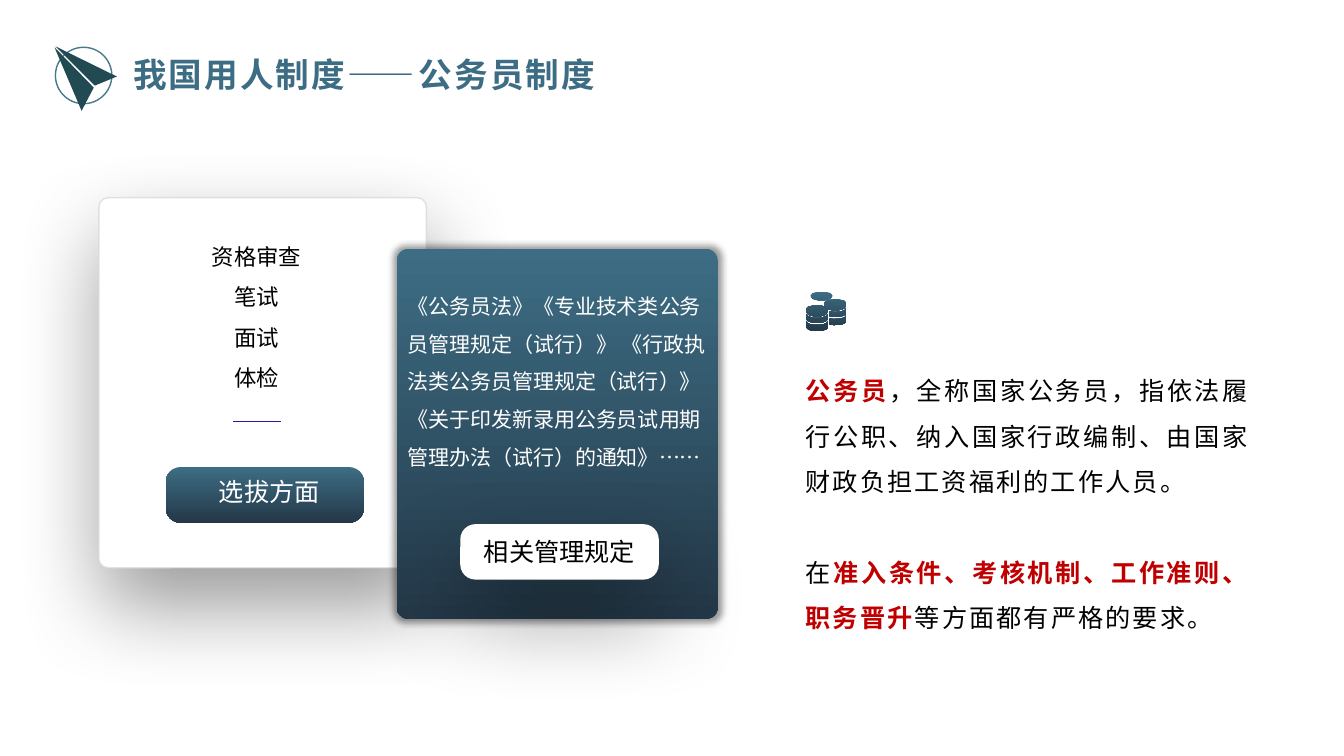
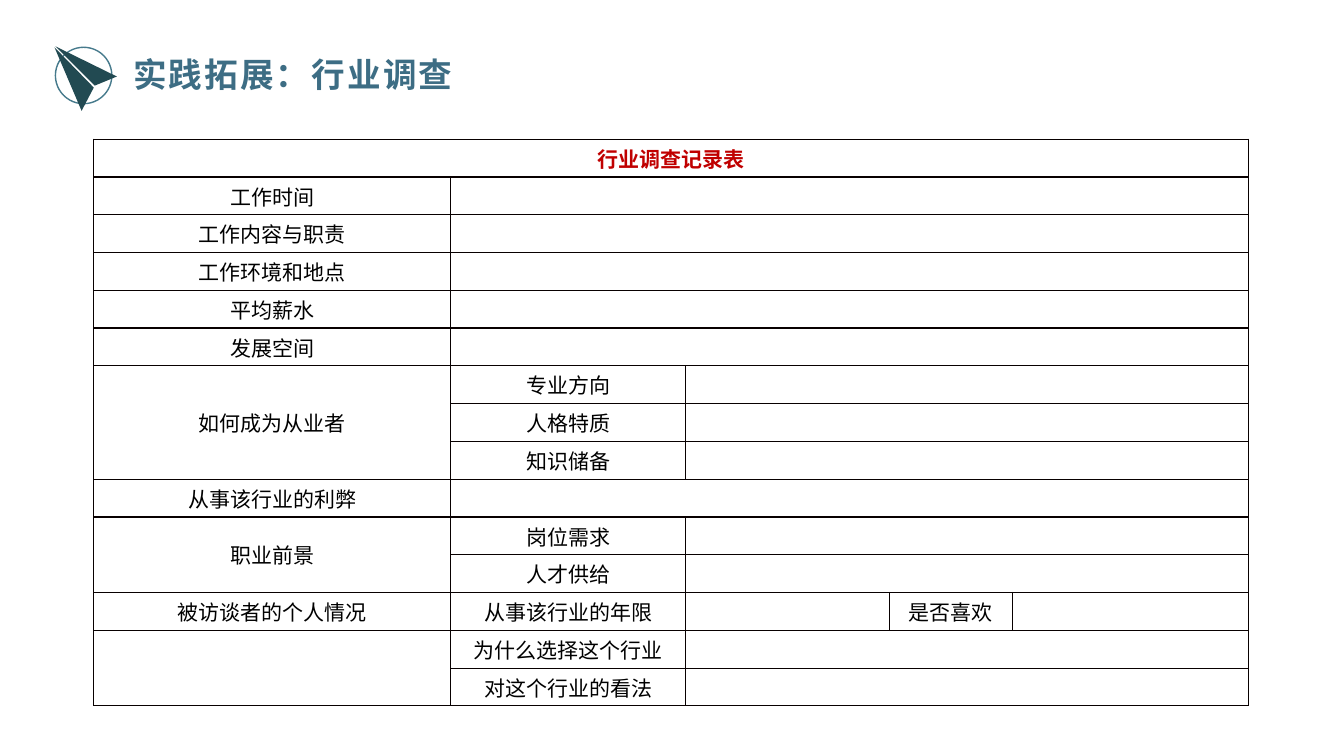
"""Build two slides on the civil service system and an industry survey."""
import math
from dataclasses import dataclass
from typing import NamedTuple

import lxml.etree
import pptx
import pptx.dml.color
import pptx.enum.shapes
import pptx.enum.text
import pptx.oxml.ns
import pptx.util

Pt = pptx.util.Pt
qn = pptx.oxml.ns.qn
Align = pptx.enum.text.PP_ALIGN
Anchor = pptx.enum.text.MSO_ANCHOR
Preset = pptx.enum.shapes.MSO_SHAPE

FONT = "Noto Sans CJK SC"
TEAL, NAVY, PINE, RING = "3D6D84", "243848", "224A52", "467A8C"
RED, BLACK, WHITE = "C00000", "000000", "FFFFFF"
GRID, CARD_EDGE, DIVIDER = "080000", "D9D9D9", "2D1A91"
LEADING = 1.8


class Box(NamedTuple):
    left: float
    top: float
    width: float
    height: float


class Shadow(NamedTuple):
    blur: float
    distance: float
    angle: float
    scale: int = 100


class Coin(NamedTuple):
    centre: float
    left: float
    right: float
    rim_top: float
    rim_bottom: float
    bulge_top: float = 2.5
    bulge_bottom: float = 2.5


class Phrase(NamedTuple):
    text: str
    stressed: bool = False


@dataclass(frozen=True)
class Panel:
    box: Box
    radius: float
    gradient: bool
    shadow: Shadow | None = None
    outlined: bool = False
    label: str = ""
    left_inset: float = 0


@dataclass(frozen=True)
class Topic:
    name: str
    questions: tuple[str, ...] = ()
    follow_up: str = ""


SOFT = Shadow(64, 27, 85)
PANELS = [
    Panel(Box(70.6, 141.2, 234, 264.4), 0.028, False, SOFT, outlined=True),
    Panel(Box(118.3, 333.6, 141.8, 39.8), 0.274, True, label="选拔方面", left_inset=6.5),
    Panel(Box(283.3, 177.8, 229.5, 264.2), 0.037, True, Shadow(5, 0, 0, 102)),
    Panel(Box(328.8, 374.4, 141.8, 39.6), 0.274, False, SOFT, label="相关管理规定"),
]
COINS = [
    Coin(583.6, 576, 591.2, 220.3, 223.2, -2.2, 2.9),
    Coin(583.6, 576, 591.2, 224.6, 228.2),
    Coin(583.6, 576, 591.2, 229.7, 234),
    Coin(596.6, 589, 604.2, 216, 218.9, -2.2, 2.9),
    Coin(596.6, 592.6, 604.2, 220.3, 223.9),
    Coin(596.6, 592.6, 604.2, 225.4, 229.7),
    Coin(586.8, 579.2, 594.4, 211, 211.8, -2.9, 2.9),
]
PLANE = [
    [(83.5, 54.7), (67.7, 61.2), (39.6, 33.1)],
    [(67, 62.6), (58.3, 79.2), (38.9, 33.8)],
]
SELECTION_STEPS = ["资格审查", "笔试", "面试", "体检"]
REGULATIONS = ["《公务员法》《专业技术类公务员管理规定（试行）》 《行政执法类公务员管理规定（试行）》"
               "《关于印发新录用公务员试用期管理办法（试行）的通知》……"]
DEFINITION = [
    [Phrase("公务员", True),
     Phrase("，全称国家公务员，指依法履行公职、纳入国家行政编制、由国家财政负担工资福利的工作人员。")],
    [Phrase("在"), Phrase("准入条件、考核机制、工作准则、职务晋升", True),
     Phrase("等方面都有严格的要求。")],
]
SURVEY = [
    Topic("工作时间"),
    Topic("工作内容与职责"),
    Topic("工作环境和地点"),
    Topic("平均薪水"),
    Topic("发展空间"),
    Topic("如何成为从业者", ("专业方向", "人格特质", "知识储备")),
    Topic("从事该行业的利弊"),
    Topic("职业前景", ("岗位需求", "人才供给")),
    Topic("被访谈者的个人情况", ("从事该行业的年限",), "是否喜欢"),
    Topic("", ("为什么选择这个行业", "对这个行业的看法")),
]
COLUMN_WIDTHS = [255, 167.8, 145.4, 87.8, 168.8]
ROW_HEIGHT = 27


def rgb(code: str):
    """Turn a hex string into a colour."""
    return pptx.dml.color.RGBColor.from_string(code)


def points(box: Box) -> list:
    """Return the four lengths of a box in points."""
    return [Pt(length) for length in box]


def place(holder, box: Box) -> None:
    """Move a placeholder and stop it from shrinking its text."""
    holder.left, holder.top, holder.width, holder.height = points(box)
    holder.text_frame.word_wrap = True
    holder.text_frame.auto_size = pptx.enum.text.MSO_AUTO_SIZE.NONE


def style(paragraph, size: float, color: str, align=Align.CENTER,
          bold: bool = False, tracking: float = 0) -> None:
    """Format a whole paragraph."""
    paragraph.alignment = align
    font = paragraph.font
    font.size, font.bold, font.name = Pt(size), bold, FONT
    font.color.rgb = rgb(color)
    properties = paragraph._p.pPr.find(qn("a:defRPr"))
    lxml.etree.SubElement(properties, qn("a:ea"), typeface=FONT)
    if tracking:
        properties.set("spc", str(round(tracking * 100)))


def paint_gradient(shape) -> None:
    """Fill a shape from teal down to navy."""
    shape.fill.gradient()
    shape.fill.gradient_angle = 270
    for stop, color in zip(shape.fill.gradient_stops, (TEAL, NAVY)):
        stop.color.rgb = rgb(color)


def cast_shadow(shape, shadow: Shadow) -> None:
    """Give a shape a soft black shadow."""
    effects = shape._element.spPr.find(qn("a:effectLst"))
    scale = str(shadow.scale * 1000)
    outer = lxml.etree.SubElement(
        effects, qn("a:outerShdw"), blurRad=str(Pt(shadow.blur)), dist=str(Pt(shadow.distance)),
        dir=str(shadow.angle * 60000), sx=scale, sy=scale, algn="ctr", rotWithShape="0")
    color = lxml.etree.SubElement(outer, qn("a:srgbClr"), val=BLACK)
    lxml.etree.SubElement(color, qn("a:alpha"), val="40000")


def draw_outline(slide, contours: list):
    """Draw closed contours as one freeform without a line."""
    builder = None
    for contour in contours:
        (x, y), *rest = [(Pt(x), Pt(y)) for x, y in contour]
        if builder is None:
            builder = slide.shapes.build_freeform(x, y)
        else:
            builder.move_to(x, y)
        builder.add_line_segments(rest, close=True)
    shape = builder.convert_to_shape()
    shape.shadow.inherit = False
    shape.line.fill.background()
    return shape


def draw_heading(slide, title: str) -> None:
    """Set the title and draw the paper plane emblem."""
    heading = slide.shapes.title
    place(heading, Box(88, 34.6, 480, 36))
    heading.text_frame.vertical_anchor = Anchor.MIDDLE
    heading.text_frame.text = title
    style(heading.text_frame.paragraphs[0], 24, TEAL, Align.LEFT, True, 1.5)
    ring = slide.shapes.add_shape(Preset.OVAL, *points(Box(39.6, 33.8, 40.3, 40.3)))
    ring.shadow.inherit = False
    ring.fill.background()
    ring.line.color.rgb, ring.line.width = rgb(RING), Pt(1)
    plane = draw_outline(slide, PLANE)
    plane.fill.solid()
    plane.fill.fore_color.rgb = rgb(PINE)


def draw_panel(slide, panel: Panel) -> None:
    """Draw a rounded card or button with its label."""
    shape = slide.shapes.add_shape(Preset.ROUNDED_RECTANGLE, *points(panel.box))
    shape.adjustments[0] = panel.radius
    shape.shadow.inherit = False
    if panel.gradient:
        paint_gradient(shape)
    else:
        shape.fill.solid()
        shape.fill.fore_color.rgb = rgb(WHITE)
    if panel.outlined:
        shape.line.color.rgb, shape.line.width = rgb(CARD_EDGE), Pt(1)
        edge = shape._element.spPr.find(qn("a:ln")).find(".//" + qn("a:srgbClr"))
        lxml.etree.SubElement(edge, qn("a:alpha"), val="74000")
    else:
        shape.line.fill.background()
    if panel.shadow:
        cast_shadow(shape, panel.shadow)
    if panel.label:
        frame = shape.text_frame
        frame.margin_left, frame.margin_right = Pt(panel.left_inset), 0
        frame.margin_top, frame.margin_bottom = 0, Pt(panel.left_inset * 0.75)
        frame.text = panel.label
        style(frame.paragraphs[0], 18, WHITE if panel.gradient else BLACK)


def draw_text(slide, box: Box, lines: list[str], size: float, color: str, align) -> None:
    """Write evenly spaced lines in a text box."""
    frame = slide.shapes.add_textbox(*points(box)).text_frame
    frame.word_wrap = True
    frame.text = "\n".join(lines)
    for paragraph in frame.paragraphs:
        paragraph.line_spacing = Pt(size * LEADING)
        style(paragraph, size, color, align)


def coin_contour(coin: Coin) -> list[tuple[float, float]]:
    """Trace the curved top and bottom edges of a coin."""
    radius, steps = 7.6, 5
    start, end = (math.acos(max(-1, min(1, (x - coin.centre) / radius)))
                  for x in (coin.left, coin.right))
    angles = [start + (end - start) * i / steps for i in range(steps + 1)]

    def edge(rim: float, bulge: float) -> list[tuple[float, float]]:
        """Follow one elliptical edge from left to right."""
        return [(coin.centre + radius * math.cos(angle), rim + bulge * math.sin(angle))
                for angle in angles]

    return edge(coin.rim_top, coin.bulge_top) + edge(coin.rim_bottom, coin.bulge_bottom)[::-1]


def write_definition(body) -> None:
    """Fill the body placeholder with the two stressed paragraphs."""
    place(body, Box(568.2, 253.8, 332, 203.8))
    frame = body.text_frame
    for index, phrases in enumerate(DEFINITION):
        paragraph = frame.add_paragraph() if index else frame.paragraphs[0]
        properties = paragraph._p.get_or_add_pPr()
        properties.set("marL", "0")
        properties.set("indent", "0")
        lxml.etree.SubElement(properties, qn("a:buNone"))
        paragraph.line_spacing = Pt(18 * LEADING)
        paragraph.space_before = Pt(18 * LEADING if index else 0)
        style(paragraph, 18, BLACK, Align.JUSTIFY, tracking=1.5)
        for phrase in phrases:
            run = paragraph.add_run()
            run.text = phrase.text
            if phrase.stressed:
                run.font.bold = True
                run.font.color.rgb = rgb(RED)


def write_cell(cell, text: str = "", color: str = BLACK, bold: bool = False) -> None:
    """Write a centred cell and rule all its sides."""
    cell.text = text
    style(cell.text_frame.paragraphs[0], 15, color, bold=bold)
    cell.fill.background()
    cell.vertical_anchor = Anchor.MIDDLE
    cell.margin_left = cell.margin_right = Pt(5)
    cell.margin_top = cell.margin_bottom = 0
    properties = cell._tc.get_or_add_tcPr()
    for index, side in enumerate(("lnL", "lnR", "lnT", "lnB")):
        border = lxml.etree.Element(qn(f"a:{side}"), w=str(Pt(1)))
        fill = lxml.etree.SubElement(border, qn("a:solidFill"))
        lxml.etree.SubElement(fill, qn("a:srgbClr"), val=GRID)
        properties.insert(index, border)


def draw_survey(slide) -> None:
    """Draw the survey form, one block of rows for each topic."""
    rows = []
    for topic in SURVEY:
        for index, question in enumerate(topic.questions or ("",)):
            rows.append(("" if index else topic.name, question, "", topic.follow_up, ""))
    row_count, last = len(rows) + 1, len(COLUMN_WIDTHS) - 1
    box = Box(67, 99.4, sum(COLUMN_WIDTHS), row_count * ROW_HEIGHT)
    form = slide.shapes.add_table(row_count, len(COLUMN_WIDTHS), *points(box)).table
    form.first_row = form.horz_banding = False
    for column, width in zip(form.columns, COLUMN_WIDTHS):
        column.width = Pt(width)
    for column in range(last + 1):
        write_cell(form.cell(0, column), "" if column else "行业调查记录表", RED, True)
        for row, texts in enumerate(rows, 1):
            write_cell(form.cell(row, column), texts[column])
    form.cell(0, 0).merge(form.cell(0, last))
    top = 1
    for topic in SURVEY:
        bottom = top + max(1, len(topic.questions)) - 1
        if not topic.follow_up:
            for row in range(top, bottom + 1):
                form.cell(row, 2 if topic.questions else 1).merge(form.cell(row, last))
        if bottom > top:
            form.cell(top, 0).merge(form.cell(bottom, 0))
        top = bottom + 1


def build_system_slide(deck) -> None:
    """Build the slide on the civil service system."""
    slide = deck.slides.add_slide(deck.slide_layouts[1])
    draw_heading(slide, "我国用人制度——公务员制度")
    write_definition(slide.placeholders[1])
    for panel in PANELS:
        draw_panel(slide, panel)
    divider = slide.shapes.add_connector(
        pptx.enum.shapes.MSO_CONNECTOR.STRAIGHT, Pt(166.3), Pt(301), Pt(200.9), Pt(301))
    divider.line.color.rgb, divider.line.width = rgb(DIVIDER), Pt(0.5)
    lxml.etree.SubElement(divider._element.spPr, qn("a:effectLst"))
    paint_gradient(draw_outline(slide, [coin_contour(coin) for coin in COINS]))
    draw_text(slide, Box(283.7, 196.9, 228.2, 143.3), REGULATIONS, 15, WHITE, Align.LEFT)
    draw_text(slide, Box(78.2, 160.4, 210.2, 123.8), SELECTION_STEPS, 16, BLACK, Align.CENTER)


def build_survey_slide(deck) -> None:
    """Build the slide with the industry survey form."""
    slide = deck.slides.add_slide(deck.slide_layouts[5])
    draw_heading(slide, "实践拓展：行业调查")
    draw_survey(slide)


def main() -> None:
    """Build and save the presentation."""
    deck = pptx.Presentation()
    deck.slide_width, deck.slide_height = Pt(960), Pt(540)
    build_system_slide(deck)
    build_survey_slide(deck)
    deck.save("out.pptx")


if __name__ == "__main__":
    main()
